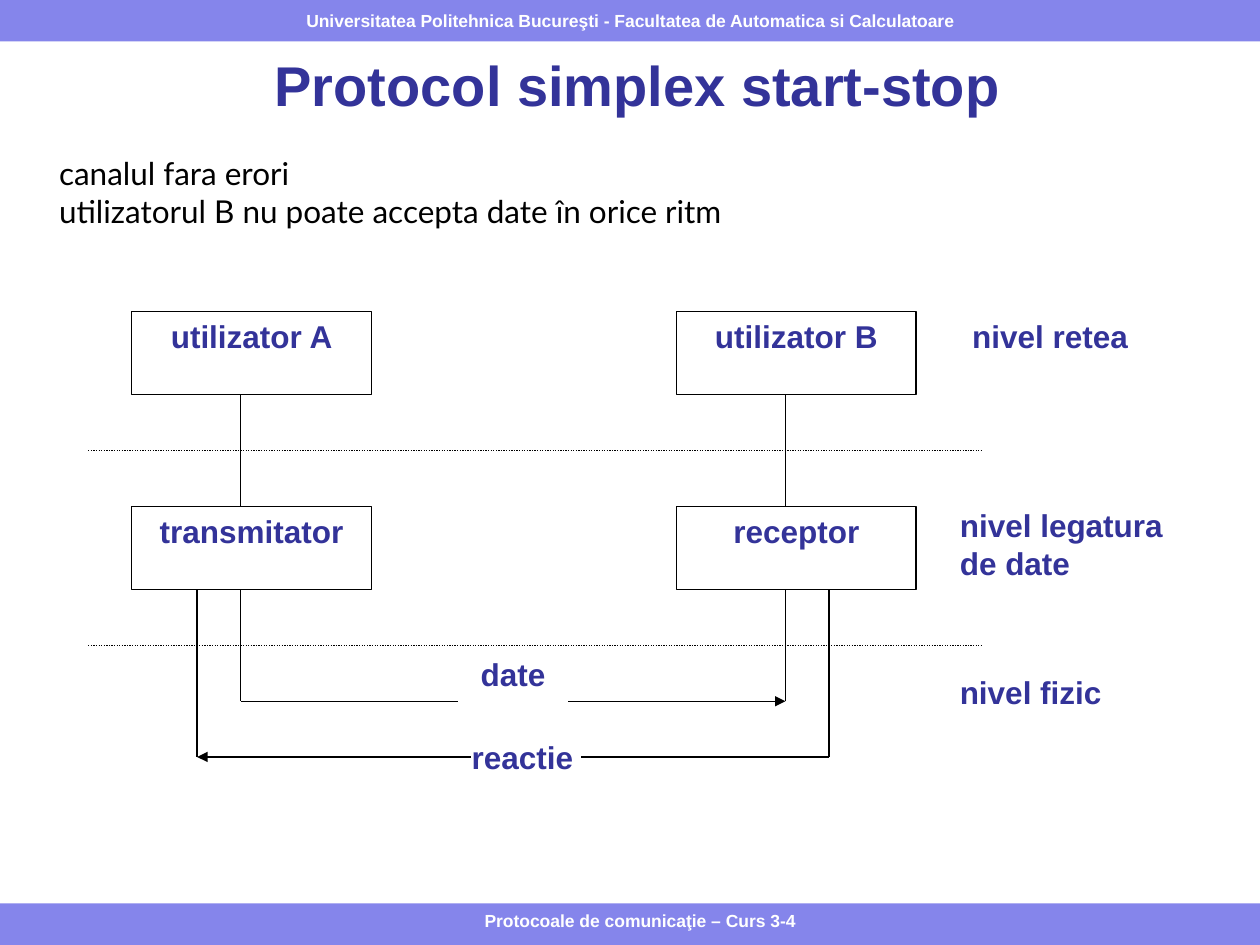
from dataclasses import dataclass

from lxml.etree import SubElement
from pptx import Presentation
from pptx.dml.color import RGBColor
from pptx.enum.dml import MSO_LINE
from pptx.enum.shapes import MSO_CONNECTOR, MSO_SHAPE
from pptx.enum.text import MSO_ANCHOR, PP_ALIGN
from pptx.oxml.ns import qn
from pptx.util import Inches, Pt

PERIWINKLE = RGBColor(0x85, 0x85, 0xEB)
NAVY = RGBColor(0x33, 0x33, 0x99)
BLACK = RGBColor(0, 0, 0)
WHITE = RGBColor(0xFF, 0xFF, 0xFF)

SLIDE_WIDTH, SLIDE_HEIGHT = 10, 7.5
BAND_HEIGHT = 0.33
COLUMNS, ROWS = 51, 18
NODE_WIDTH, NODE_HEIGHT = 11, 3
LINE_WIDTH = Pt(0.75)


@dataclass
class Box:
    left: float
    top: float
    width: float
    height: float

    def emu(self):
        return [Inches(v) for v in (self.left, self.top, self.width, self.height)]

    def point(self, column, row):
        return (self.left + column * self.width / COLUMNS,
                self.top + row * self.height / ROWS)

    def cell(self, column, row, columns, rows):
        return Box(*self.point(column, row),
                   columns * self.width / COLUMNS, rows * self.height / ROWS)


def style_paragraph(paragraph, size, color, font="Arial", bold=True,
                    align=PP_ALIGN.LEFT):
    paragraph.alignment = align
    for run in paragraph.runs:
        run.font.name, run.font.size, run.font.bold = font, Pt(size), bold
        run.font.color.rgb = color


def add_rectangle(slide, box, fill, outline=None):
    rectangle = slide.shapes.add_shape(MSO_SHAPE.RECTANGLE, *box.emu())
    rectangle.shadow.inherit = False
    rectangle.fill.solid()
    rectangle.fill.fore_color.rgb = fill
    if outline is None:
        rectangle.line.fill.background()
    else:
        rectangle.line.color.rgb = outline
        rectangle.line.width = LINE_WIDTH
    return rectangle


def add_band(slide, box, text, text_box=None):
    """Coloured strip; its text sits in it, or in text_box when one is given."""
    holder = add_rectangle(slide, box, PERIWINKLE)
    if text_box:
        holder = slide.shapes.add_textbox(*text_box.emu())
    frame = holder.text_frame
    frame.text = text
    frame.word_wrap = text_box is not None
    frame.vertical_anchor = MSO_ANCHOR.TOP if text_box else MSO_ANCHOR.MIDDLE
    style_paragraph(frame.paragraphs[0], 10, WHITE, align=PP_ALIGN.CENTER)


def add_heading(slide, box, title, remarks):
    frame = slide.shapes.add_textbox(*box.emu()).text_frame
    frame.word_wrap = True
    frame.text = "\n".join([title, *remarks])
    heading, *remark_lines = frame.paragraphs
    style_paragraph(heading, 32, NAVY, align=PP_ALIGN.CENTER)
    for line in remark_lines:
        style_paragraph(line, 18, BLACK, font="Lato", bold=False)
    remark_lines[0].space_before = Pt(21)


def add_label(slide, box, text, align=PP_ALIGN.LEFT, outline=WHITE, inset=False):
    frame = add_rectangle(slide, box, WHITE, outline).text_frame
    frame.text = text
    frame.word_wrap = True
    frame.vertical_anchor = MSO_ANCHOR.TOP
    if not inset:
        frame.margin_left = frame.margin_right = 0
        frame.margin_top = frame.margin_bottom = 0
    style_paragraph(frame.paragraphs[0], 18, NAVY, align=align)


def add_line(slide, start, end, dash=None, arrow=False):
    ends = [Inches(v) for v in (*start, *end)]
    line = slide.shapes.add_connector(MSO_CONNECTOR.STRAIGHT, *ends)
    line.line.color.rgb = BLACK
    line.line.width = LINE_WIDTH
    if dash:
        line.line.dash_style = dash
    if arrow:
        SubElement(line.line._get_or_add_ln(), qn("a:tailEnd"), type="triangle")
    SubElement(line._element.spPr, qn("a:effectLst"))


def add_protocol_diagram(slide, box):
    user_row, link_row = 0, 7
    link_bottom = link_row + NODE_HEIGHT
    data_row, reply_row = 14, 16
    sender_data, receiver_data = 7, 32
    sender_reply, receiver_reply = 5, 34

    nodes = [("utilizator A", 2, user_row), ("utilizator B", 27, user_row),
             ("transmitator", 2, link_row), ("receptor", 27, link_row)]
    for text, column, row in nodes:
        add_label(slide, box.cell(column, row, NODE_WIDTH, NODE_HEIGHT), text,
                  PP_ALIGN.CENTER, BLACK, inset=True)

    drops = [(sender_data, NODE_HEIGHT, link_row),
             (receiver_data, NODE_HEIGHT, link_row),
             (sender_data, link_bottom, data_row),
             (receiver_data, link_bottom, data_row),
             (sender_reply, link_bottom, reply_row),
             (receiver_reply, link_bottom, reply_row)]
    for column, top, bottom in drops:
        add_line(slide, box.point(column, top), box.point(column, bottom))

    for border_row in (5, 12):
        add_line(slide, box.point(0, border_row), box.point(41, border_row),
                 dash=MSO_LINE.ROUND_DOT)
    for origin, target, row in [(sender_data, receiver_data, data_row),
                                (receiver_reply, sender_reply, reply_row)]:
        add_line(slide, box.point(origin, row), box.point(target, row), arrow=True)

    add_label(slide, box.cell(40, user_row, NODE_WIDTH, NODE_HEIGHT),
              "nivel retea", inset=True)
    add_label(slide, box.cell(40, link_row, 10, 4), "nivel legatura de date")
    add_label(slide, box.cell(40, 13, 8, 2), "nivel fizic")
    add_label(slide, box.cell(17, 12.33, 5, 2), "date", PP_ALIGN.CENTER)
    add_label(slide, box.cell(17.6, 15.33, 5, 2), "reactie")


def main():
    presentation = Presentation()
    presentation.slide_width = Inches(SLIDE_WIDTH)
    presentation.slide_height = Inches(SLIDE_HEIGHT)
    slide = presentation.slides.add_slide(presentation.slide_layouts[6])

    footer_top = SLIDE_HEIGHT - BAND_HEIGHT
    add_band(slide, Box(0, footer_top, SLIDE_WIDTH, BAND_HEIGHT),
             "Protocoale de comunicaţie – Curs 3-4",
             Box(2.58, footer_top, SLIDE_WIDTH / 2, BAND_HEIGHT))
    add_band(slide, Box(0, 0, SLIDE_WIDTH, BAND_HEIGHT),
             "Universitatea Politehnica Bucureşti - "
             "Facultatea de Automatica si Calculatoare")
    add_heading(slide, Box(0.37, 0.35, 9.38, 1.53), "Protocol simplex start-stop",
                ["canalul fara erori",
                 "utilizatorul B nu poate accepta date în orice ritm"])
    add_protocol_diagram(slide, Box(0.7, 2.47, 8.82, 3.98))
    presentation.save("out.pptx")


if __name__ == "__main__":
    main()
